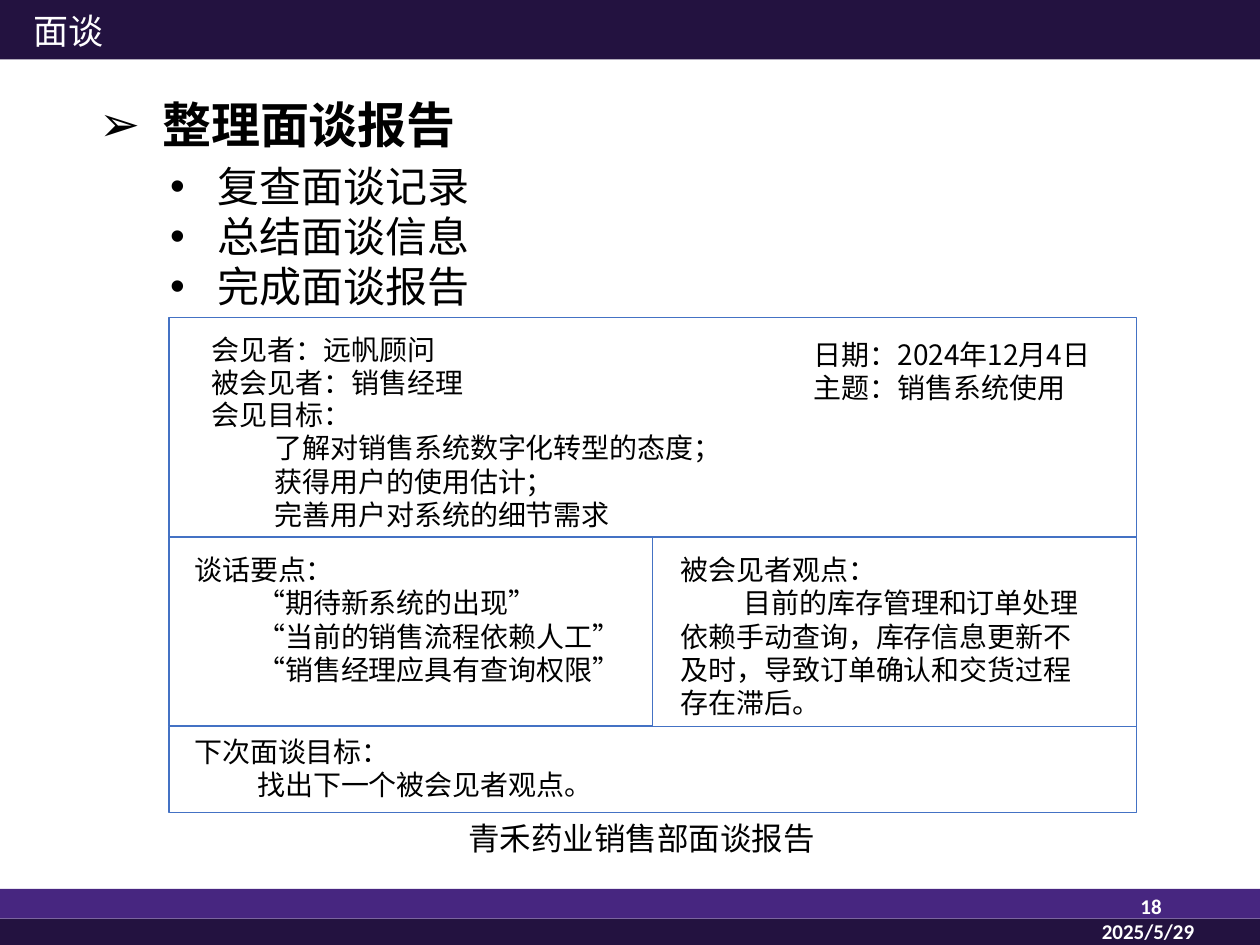
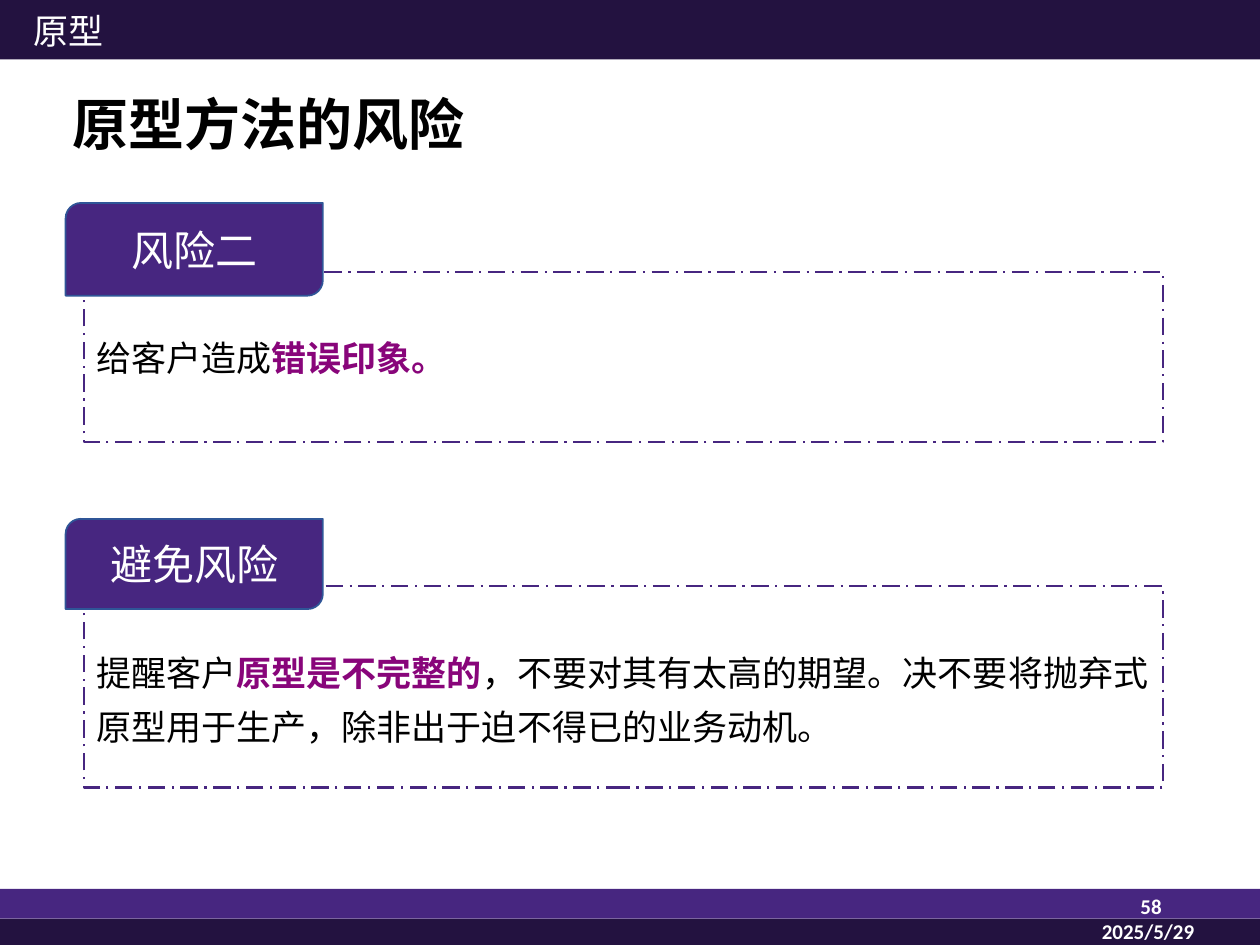
from dataclasses import dataclass

from lxml import etree
from pptx import Presentation
from pptx.dml.color import RGBColor
from pptx.enum.dml import MSO_LINE
from pptx.enum.shapes import MSO_SHAPE
from pptx.enum.text import MSO_ANCHOR, MSO_AUTO_SIZE, PP_ALIGN
from pptx.oxml.ns import qn
from pptx.util import Pt

RECT, TAB = MSO_SHAPE.RECTANGLE, MSO_SHAPE.ROUND_2_DIAG_RECTANGLE
TOP, MIDDLE = MSO_ANCHOR.TOP, MSO_ANCHOR.MIDDLE
LEFT, CENTER, RIGHT = PP_ALIGN.LEFT, PP_ALIGN.CENTER, PP_ALIGN.RIGHT
DASH_DOT = MSO_LINE.LONG_DASH_DOT

COLORS = {
    "purple": "472680", "dark": "231240", "blue": "4472C4", "navy": "2F5597",
    "accent": "88057A", "black": "000000", "white": "FFFFFF",
}
CJK = "Noto Sans CJK SC"
LINE_RATIO = 1.19
TITLE_ONLY, TITLE_AND_CONTENT = 5, 1
SLIDE_W, SLIDE_H = 720, 540


@dataclass
class Box:
    left: float
    top: float
    width: float
    height: float

    def lengths(self) -> tuple:
        return Pt(self.left), Pt(self.top), Pt(self.width), Pt(self.height)


@dataclass
class Style:
    size: float
    color: str = "black"
    bold: bool = False
    font: str = CJK


@dataclass
class Note:
    box: Box
    lines: list[str]
    indent: float = 0


@dataclass
class Cell:
    box: Box
    line_width: float


@dataclass
class Risk:
    label: str
    tab: Box
    frame: Box
    phrases: list[tuple[str, bool]]


BANDS = [
    (Box(0, 508, SLIDE_W, 17), "purple"),
    (Box(0, 525, SLIDE_W, 15), "dark"),
    (Box(0, 0, SLIDE_W, 34), "dark"),
]
HEADER = Style(20, "white")
FOOTER = Style(12, "white", True, "Calibri")
REPORT = Style(16)


def rgb(name: str) -> RGBColor:
    return RGBColor.from_string(COLORS[name])


def style_run(run, style: Style) -> None:
    run.font.size = Pt(style.size)
    run.font.bold = style.bold
    run.font.color.rgb = rgb(style.color)
    run.font.name = style.font
    east_asian = etree.SubElement(run._r.get_or_add_rPr(), qn("a:ea"))
    east_asian.set("typeface", CJK)


def style_text(frame, style: Style, align=LEFT, anchor=TOP) -> None:
    frame.auto_size = MSO_AUTO_SIZE.NONE
    frame.vertical_anchor = anchor
    for paragraph in frame.paragraphs:
        paragraph.alignment = align
        for run in paragraph.runs:
            style_run(run, style)


def set_bullet(paragraph, mark: str, hang: float) -> None:
    properties = paragraph._p.get_or_add_pPr()
    properties.set("marL", str(Pt(hang)))
    properties.set("indent", str(-Pt(hang)))
    font = etree.SubElement(properties, qn("a:buFont"))
    font.set("typeface", "Arial")
    etree.SubElement(properties, qn("a:buChar")).set("char", mark)


def fix_lines(frame, size: float) -> None:
    frame.margin_top = Pt(5)
    for paragraph in frame.paragraphs:
        paragraph.space_before = Pt(0)
        paragraph.line_spacing = Pt(round(size * LINE_RATIO, 1))


def add_text(slide, box: Box, text: str, style: Style, align=LEFT,
             anchor=TOP, wrap: bool = True):
    frame = slide.shapes.add_textbox(*box.lengths()).text_frame
    frame.text = text
    frame.word_wrap = wrap
    style_text(frame, style, align, anchor)
    return frame


def add_panel(slide, kind, box: Box, fill: str = "", line: str = "",
              width: float = 1):
    panel = slide.shapes.add_shape(kind, *box.lengths())
    panel.shadow.inherit = False
    if fill:
        panel.fill.solid()
        panel.fill.fore_color.rgb = rgb(fill)
    else:
        panel.fill.background()
    if line:
        panel.line.color.rgb = rgb(line)
        panel.line.width = Pt(width)
    else:
        panel.line.fill.background()
    return panel


def place(placeholder, box: Box) -> None:
    (placeholder.left, placeholder.top,
     placeholder.width, placeholder.height) = box.lengths()


def start_slide(deck, layout: int, section: str, title: str, number: str,
                title_left: float, title_size: float):
    """Add a slide with its bands, section name, footer and title."""
    slide = deck.slides.add_slide(deck.slide_layouts[layout])
    for box, fill in BANDS:
        add_panel(slide, RECT, box, fill)
    add_text(slide, Box(12, 1.5, 55, 31.5), section, HEADER,
             anchor=MIDDLE, wrap=False)
    add_text(slide, Box(624, 507, 47, 43), number, FOOTER, RIGHT)
    add_text(slide, Box(615, 521.5, 82, 29), "2025/5/29", FOOTER, CENTER)
    heading = slide.shapes.title
    place(heading, Box(title_left, 47, 620.5, 52))
    heading.text_frame.text = title
    style_text(heading.text_frame, Style(title_size, bold=True), anchor=MIDDLE)
    heading.text_frame.paragraphs[0].line_spacing = 0.9
    return slide


def add_note(slide, note: Note) -> None:
    """Add a report entry: a lead line, then indented lines."""
    frame = add_text(slide, note.box, "\n".join(note.lines), REPORT)
    fix_lines(frame, REPORT.size)
    if note.indent:
        for paragraph in frame.paragraphs[1:]:
            paragraph._p.get_or_add_pPr().set("indent", str(Pt(note.indent)))


def add_risk(slide, risk: Risk) -> None:
    """Add a dashed frame with its text and the tab over its corner."""
    outline = add_panel(slide, RECT, risk.frame, line="purple", width=1.25)
    outline.line.dash_style = DASH_DOT
    frame = outline.text_frame
    frame.word_wrap = True
    frame.vertical_anchor = TOP
    frame.margin_top = Pt(30)
    paragraph = frame.paragraphs[0]
    paragraph.alignment = LEFT
    paragraph.line_spacing = Pt(31)
    for text, strong in risk.phrases:
        run = paragraph.add_run()
        run.text = text
        style_run(run, Style(20, "accent" if strong else "black", strong))

    tab = add_panel(slide, TAB, risk.tab, "purple", "navy")
    tab.text_frame.text = risk.label
    style_text(tab.text_frame, Style(24, "white", font="Times New Roman"),
               CENTER, MIDDLE)


def build_interview(deck) -> None:
    slide = start_slide(deck, TITLE_AND_CONTENT, "面谈", "整理面谈报告", "18",
                        49.5, 28)
    set_bullet(slide.shapes.title.text_frame.paragraphs[0], "➢", 36)

    # Steps
    steps = slide.placeholders[1]
    place(steps, Box(90, 87, 209.5, 94.5))
    steps.text_frame.text = "复查面谈记录\n总结面谈信息\n完成面谈报告"
    fix_lines(steps.text_frame, 24)
    for paragraph in steps.text_frame.paragraphs:
        set_bullet(paragraph, "•", 27)
    style_text(steps.text_frame, Style(24))

    # Report grid
    left, width, half = 96.5, 553, 276.5
    summary, details, following, bottom = 181.5, 307, 415, 464.5
    cells = [
        Cell(Box(left, summary, width, details - summary), 1),
        Cell(Box(left, details, half, following - details), 1),
        Cell(Box(left + half, details, half, following - details), 0.25),
        Cell(Box(left, following, width, bottom - following), 0),
    ]
    for cell in cells:
        add_panel(slide, RECT, cell.box, line="blue", width=cell.line_width)

    # Report entries
    notes = [
        Note(Box(114, 185, 162, 46), ["会见者：远帆顾问", "被会见者：销售经理"]),
        Note(Box(114, 222.5, 291, 85),
             ["会见目标：", "了解对销售系统数字化转型的态度；",
              "获得用户的使用估计；", "完善用户对系统的细节需求"], 36),
        Note(Box(458, 188, 173.5, 46),
             ["日期：2024年12月4日", "主题：销售系统使用"]),
        Note(Box(104, 311, 261.5, 85),
             ["谈话要点：", "“期待新系统的出现”",
              "“当前的销售流程依赖人工”", "“销售经理应具有查询权限”"], 36),
        Note(Box(382, 311, 249, 104.5),
             ["被会见者观点：",
              "目前的库存管理和订单处理依赖手动查询，库存信息更新不及时，"
              "导致订单确认和交货过程存在滞后。"], 36),
        Note(Box(104, 415, 525, 44),
             ["下次面谈目标：", "找出下一个被会见者观点。"], 36),
    ]
    for note in notes:
        add_note(slide, note)
    add_text(slide, Box(260.5, 464.5, 224, 29), "青禾药业销售部面谈报告",
             Style(18), anchor=MIDDLE)


def build_prototype(deck) -> None:
    slide = start_slide(deck, TITLE_ONLY, "原型", "原型方法的风险", "58", 34, 32)
    risks = [
        Risk("风险二", Box(37.5, 116, 147, 53), Box(48, 155.5, 616.5, 97),
             [("给客户造成", False), ("错误印象。", True)]),
        Risk("避免风险", Box(37.5, 296.5, 147, 51.5), Box(48, 335, 616.5, 115),
             [("提醒客户", False), ("原型是不完整的", True),
              ("，不要对其有太高的期望。决不要将抛弃式原型用于生产，"
               "除非出于迫不得已的业务动机。", False)]),
    ]
    for risk in risks:
        add_risk(slide, risk)


def main() -> None:
    deck = Presentation()
    deck.slide_width, deck.slide_height = Pt(SLIDE_W), Pt(SLIDE_H)
    build_interview(deck)
    build_prototype(deck)
    deck.save("out.pptx")


if __name__ == "__main__":
    main()
